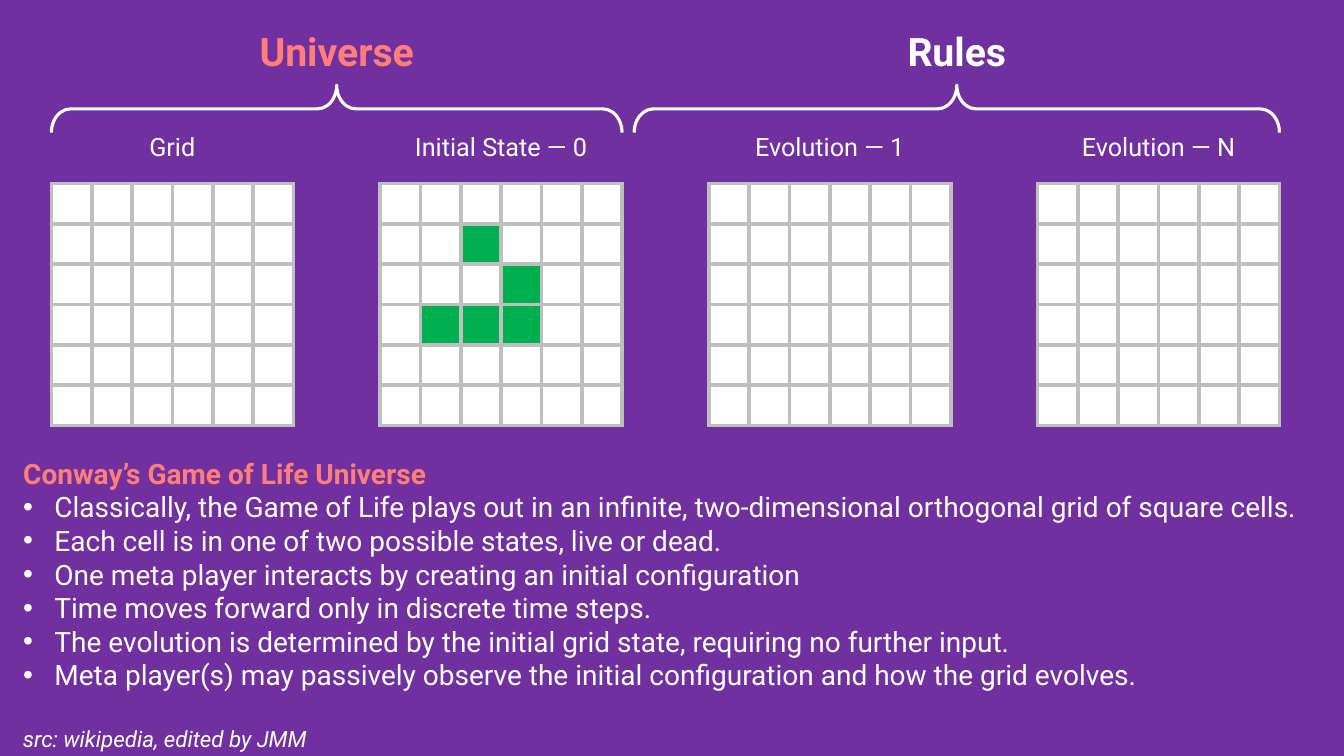
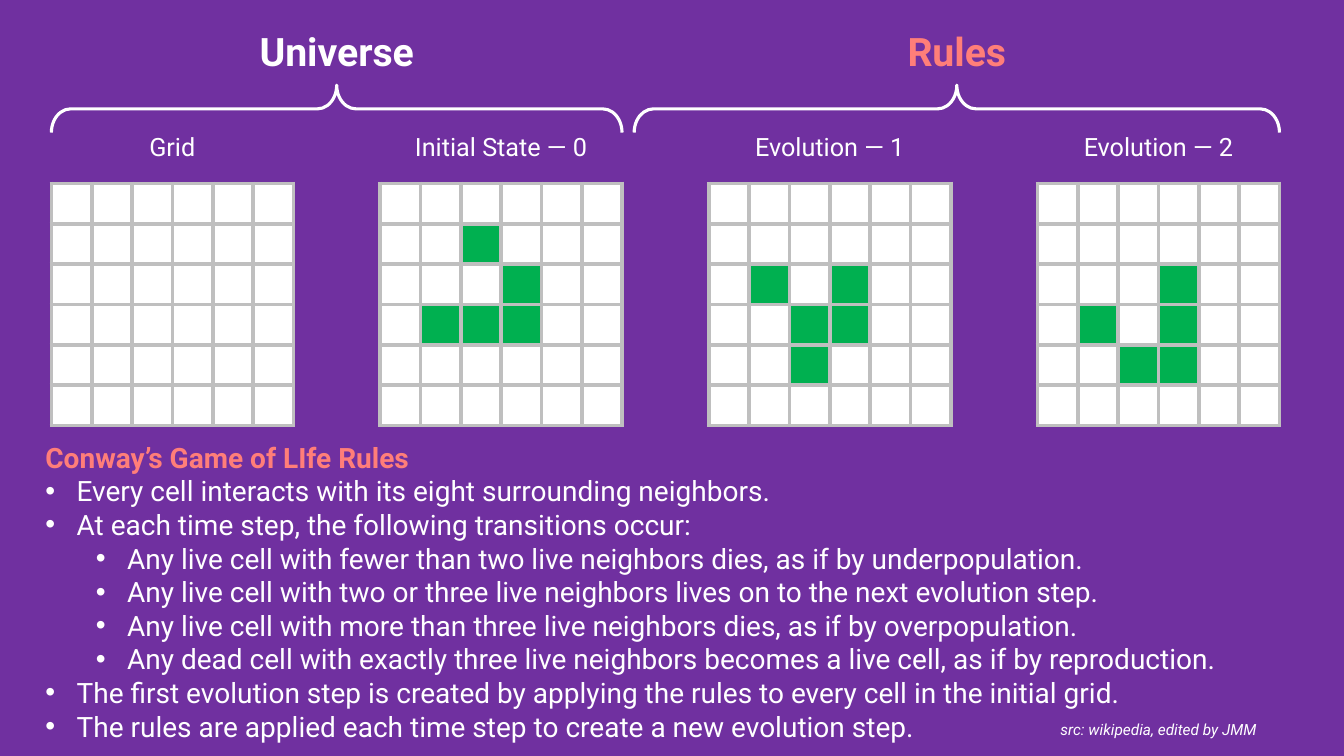
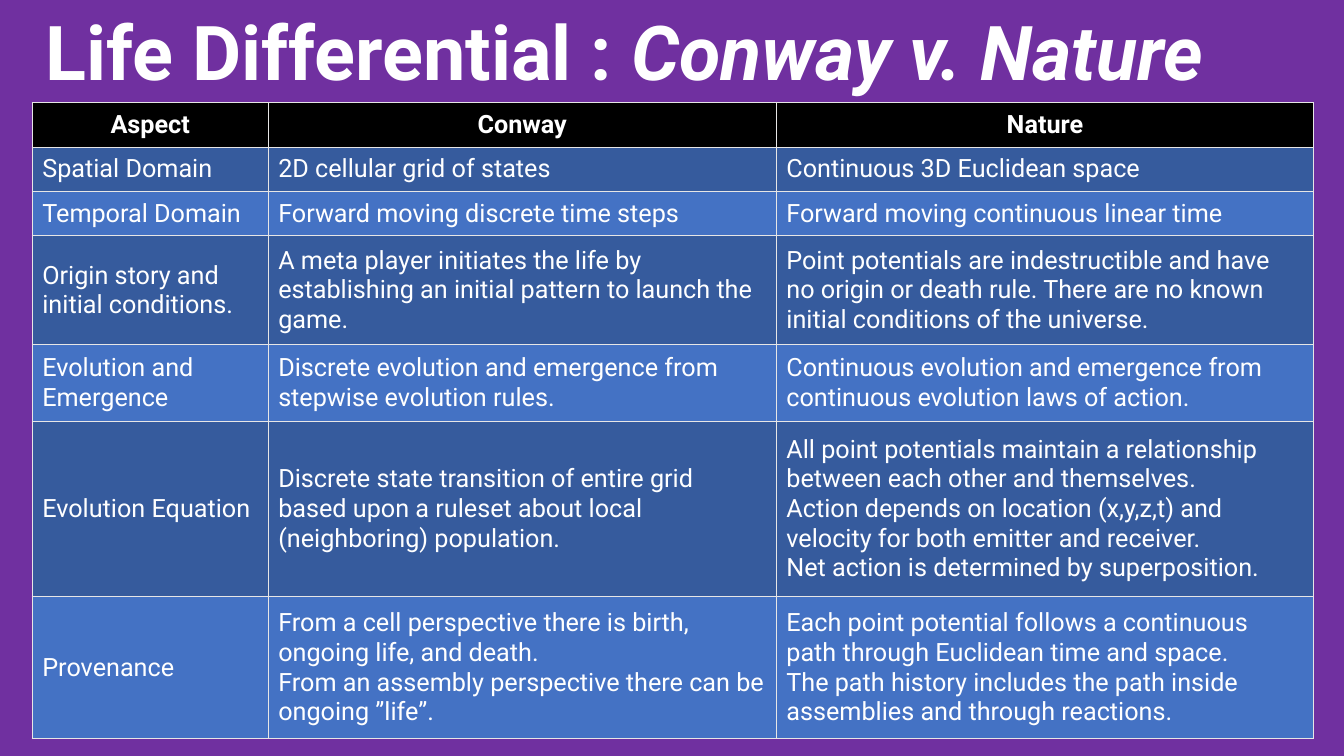
"""Build three slides on Conway's Game of Life and how it differs from nature."""
from collections import Counter
from dataclasses import dataclass
from itertools import product

from lxml.etree import SubElement
from pptx import Presentation
from pptx.dml.color import RGBColor
from pptx.enum.shapes import MSO_SHAPE as Shape
from pptx.enum.text import MSO_ANCHOR as Anchor, MSO_AUTO_SIZE as AutoSize, PP_ALIGN as Align
from pptx.oxml.ns import qn
from pptx.util import Inches, Pt

PURPLE = RGBColor(0x70, 0x30, 0xA0)
CORAL = RGBColor(0xFF, 0x7E, 0x79)
WHITE = RGBColor(0xFF, 0xFF, 0xFF)
BLACK = RGBColor(0, 0, 0)
GREEN = RGBColor(0, 0xB0, 0x50)
GRID_GREY = RGBColor(0xBF, 0xBF, 0xBF)
RULE_GREY = RGBColor(0xE7, 0xE6, 0xE6)
BANDS = (RGBColor(0x36, 0x5B, 0x9D), RGBColor(0x44, 0x72, 0xC4))
FONT = "Roboto"

GRID_LEFT, GRID_TOP, GRID_STEP = 0.51, 1.82, 3.26
CELL, CELLS = 0.4, 6
GRID_SIZE = CELL * CELLS
GLIDER = frozenset({(1, 2), (2, 3), (3, 1), (3, 2), (3, 3)})
SOURCE = "src: wikipedia, edited by JMM"


@dataclass(frozen=True)
class Section:
    label: str
    left: float
    right: float


@dataclass(frozen=True)
class Bullet:
    text: str
    level: int = 0


@dataclass(frozen=True)
class SourceNote:
    left: float
    top: float
    width: float
    size: int


@dataclass(frozen=True)
class LifeSlide:
    active: str
    captions: tuple[str, ...]
    states: tuple[frozenset, ...]
    heading: str
    left: float
    top: float
    bullets: tuple[Bullet, ...]
    source: SourceNote


SECTIONS = (Section("Universe", 0.51, 6.17), Section("Rules", 6.29, 12.69))


def evolve(live: frozenset) -> frozenset:
    """Return the live cells after one step of the rules."""
    neighbors = Counter(
        (row + dr, col + dc)
        for row, col in live
        for dr, dc in product((-1, 0, 1), repeat=2)
        if (dr, dc) != (0, 0)
    )
    return frozenset(c for c, n in neighbors.items() if n == 3 or (n == 2 and c in live))


FIRST_STEP = evolve(GLIDER)
EMPTY = frozenset()

LIFE_SLIDES = (
    LifeSlide(
        "Universe",
        ("Grid", "Initial State — 0", "Evolution — 1", "Evolution — N"),
        (EMPTY, GLIDER, EMPTY, EMPTY),
        "Conway’s Game of Life Universe", 0.13, 4.48,
        (
            Bullet("Classically, the Game of Life plays out in an infinite, "
                   "two-dimensional orthogonal grid of square cells."),
            Bullet("Each cell is in one of two possible states, live or dead."),
            Bullet("One meta player interacts by creating an initial configuration"),
            Bullet("Time moves forward only in discrete time steps."),
            Bullet("The evolution is determined by the initial grid state, "
                   "requiring no further input."),
            Bullet("Meta player(s) may passively observe the initial configuration "
                   "and how the grid evolves."),
        ),
        SourceNote(0.13, 7.14, 4, 16),
    ),
    LifeSlide(
        "Rules",
        ("Grid", "Initial State — 0", "Evolution — 1", "Evolution — 2"),
        (EMPTY, GLIDER, FIRST_STEP, evolve(FIRST_STEP)),
        "Conway’s Game of LIfe Rules", 0.35, 4.32,
        (
            Bullet("Every cell interacts with its eight surrounding neighbors."),
            Bullet("At each time step, the following transitions occur:"),
            Bullet("Any live cell with fewer than two live neighbors dies, "
                   "as if by underpopulation.", 1),
            Bullet("Any live cell with two or three live neighbors lives on "
                   "to the next evolution step.", 1),
            Bullet("Any live cell with more than three live neighbors dies, "
                   "as if by overpopulation.", 1),
            Bullet("Any dead cell with exactly three live neighbors becomes a live cell, "
                   "as if by reproduction.", 1),
            Bullet("The first evolution step is created by applying the rules "
                   "to every cell in the initial grid."),
            Bullet("The rules are applied each time step to create a new evolution step."),
        ),
        SourceNote(10.42, 7.1, 2.8, 11),
    ),
)

COLUMN_WIDTHS = (2.34, 5.04, 5.33)
ROW_HEIGHTS = (0.44, 0.44, 0.44, 1.08, 0.76, 1.74, 1.41)
COMPARISON = (
    ("Aspect", "Conway", "Nature"),
    ("Spatial Domain", "2D cellular grid of states", "Continuous 3D Euclidean space"),
    ("Temporal Domain", "Forward moving discrete time steps",
     "Forward moving continuous linear time"),
    ("Origin story and initial conditions.",
     "A meta player initiates the life by establishing an initial pattern to launch the game.",
     "Point potentials are indestructible and have no origin or death rule. "
     "There are no known initial conditions of the universe."),
    ("Evolution and Emergence",
     "Discrete evolution and emergence from stepwise evolution rules.",
     "Continuous evolution and emergence from continuous evolution laws of action."),
    ("Evolution Equation",
     "Discrete state transition of entire grid based upon a ruleset about local "
     "(neighboring) population.",
     "All point potentials maintain a relationship between each other and themselves.\n"
     "Action depends on location (x,y,z,t) and velocity for both emitter and receiver.\n"
     "Net action is determined by superposition."),
    ("Provenance",
     "From a cell perspective there is birth, ongoing life, and death.\n"
     "From an assembly perspective there can be ongoing ”life”.",
     "Each point potential follows a continuous path through Euclidean time and space.\n"
     "The path history includes the path inside assemblies and through reactions."),
)


def style_text(frame, size: int, color: RGBColor = WHITE, bold: bool = False,
               italic: bool = False, align: Align = Align.LEFT) -> None:
    """Format every paragraph and run of a text frame."""
    for paragraph in frame.paragraphs:
        paragraph.alignment = align
        paragraph.space_before = Pt(0)
        for run in paragraph.runs:
            font = run.font
            font.name, font.size, font.bold, font.italic = FONT, Pt(size), bold, italic
            font.color.rgb = color


def place(shape, left: float, top: float, width: float, height: float,
          anchor: Anchor = Anchor.TOP) -> None:
    """Move a text shape and fix how its frame behaves."""
    shape.left, shape.top = Inches(left), Inches(top)
    shape.width, shape.height = Inches(width), Inches(height)
    frame = shape.text_frame
    frame.word_wrap, frame.auto_size = True, AutoSize.NONE
    frame.vertical_anchor = anchor


def add_label(slide, text: str, left: float, top: float, width: float, height: float,
              size: int, **style) -> None:
    """Add a text box with one styled line."""
    label = slide.shapes.add_textbox(0, 0, 0, 0)
    place(label, left, top, width, height)
    label.text_frame.text = text
    style_text(label.text_frame, size, **style)


def add_section(slide, section: Section, color: RGBColor) -> None:
    """Draw a section label above the brace that spans its grids."""
    center, span = (section.left + section.right) / 2, section.right - section.left
    depth, middle = 0.47, 1.08
    brace = slide.shapes.add_shape(
        Shape.RIGHT_BRACE, Inches(center - depth / 2), Inches(middle - span / 2),
        Inches(depth), Inches(span))
    brace.rotation = 270
    brace.adjustments[0], brace.adjustments[1] = 0.405, 0.5
    brace.shadow.inherit = False
    brace.fill.background()
    brace.line.color.rgb, brace.line.width = WHITE, Pt(2.25)
    add_label(slide, section.label, center - 1, 0.22, 2, 0.57, 28,
              color=color, bold=True, align=Align.CENTER)


def paint_cell(cell, fill: RGBColor, border: RGBColor, width: float) -> None:
    """Give a table cell its four borders and its fill."""
    properties = cell._tc.get_or_add_tcPr()
    for side in ("lnL", "lnR", "lnT", "lnB"):
        line = SubElement(properties, qn(f"a:{side}"), w=str(Pt(width)))
        solid = SubElement(line, qn("a:solidFill"))
        SubElement(solid, qn("a:srgbClr"), val=str(border))
    cell.fill.solid()
    cell.fill.fore_color.rgb = fill


def add_plain_table(slide, left: float, top: float, widths: tuple[float, ...],
                    heights: tuple[float, ...]):
    """Add an unbanded table with the given columns and rows."""
    table = slide.shapes.add_table(
        len(heights), len(widths), Inches(left), Inches(top),
        Inches(sum(widths)), Inches(sum(heights))).table
    table.first_row = table.horz_banding = False
    for column, width in zip(table.columns, widths):
        column.width = Inches(width)
    for row, height in zip(table.rows, heights):
        row.height = Inches(height)
    return table


def add_grid(slide, left: float, caption: str, live: frozenset) -> None:
    """Draw a captioned universe with its live cells."""
    add_label(slide, caption, left, 1.25, GRID_SIZE, 0.4, 18, align=Align.CENTER)
    sides = (CELL,) * CELLS
    grid = add_plain_table(slide, left, GRID_TOP, sides, sides)
    for row, col in product(range(CELLS), repeat=2):
        cell = grid.cell(row, col)
        cell.margin_top = cell.margin_bottom = 0
        paint_cell(cell, GREEN if (row, col) in live else WHITE, GRID_GREY, 3)


def fill_bullets(frame, bullets: tuple[Bullet, ...]) -> None:
    """Write a bulleted list with hanging indents."""
    frame.text = "\n".join(bullet.text for bullet in bullets)
    style_text(frame, 20)
    for paragraph, bullet in zip(frame.paragraphs, bullets):
        paragraph.level = bullet.level
        properties = paragraph._p.get_or_add_pPr()
        properties.set("marL", str(Inches(0.31 + 0.5 * bullet.level)))
        properties.set("indent", str(Inches(-0.31)))
        SubElement(properties, qn("a:buFont"), typeface="Arial")
        SubElement(properties, qn("a:buChar"), char="•")


def add_life_slide(deck, content: LifeSlide) -> None:
    """Add a slide with sections, four grids and an explanation."""
    slide = deck.slides.add_slide(deck.slide_layouts[1])
    heading, explanation = slide.shapes.title, slide.placeholders[1]
    width = 13.33 - content.left
    place(heading, content.left, content.top, width, 0.43)
    heading.text_frame.text = content.heading
    style_text(heading.text_frame, 20, CORAL, bold=True)
    place(explanation, content.left, content.top + 0.33, width,
          0.1 + 0.34 * len(content.bullets))
    fill_bullets(explanation.text_frame, content.bullets)
    for section in SECTIONS:
        add_section(slide, section, CORAL if section.label == content.active else WHITE)
    for index, (caption, live) in enumerate(zip(content.captions, content.states)):
        add_grid(slide, GRID_LEFT + GRID_STEP * index, caption, live)
    source = content.source
    add_label(slide, SOURCE, source.left, source.top, source.width, 0.36, source.size,
              italic=True)


def add_comparison_slide(deck) -> None:
    """Add the table that compares Conway with nature."""
    slide = deck.slides.add_slide(deck.slide_layouts[5])
    title = slide.shapes.title
    place(title, 0.35, 0.12, 12.68, 0.88, Anchor.MIDDLE)
    title.text_frame.text = "Life Differential : "
    paragraph = title.text_frame.paragraphs[0]
    paragraph.line_spacing = 0.9
    contrast = paragraph.add_run()
    contrast.text = "Conway v. Nature"
    style_text(title.text_frame, 54, bold=True)
    contrast.font.italic = True

    table = add_plain_table(slide, 0.32, 1.02, COLUMN_WIDTHS, ROW_HEIGHTS)
    table.first_row = True
    for row, texts in enumerate(COMPARISON):
        header = row == 0
        for col, text in enumerate(texts):
            cell = table.cell(row, col)
            cell.text_frame.text = text
            cell.vertical_anchor = Anchor.MIDDLE
            style_text(cell.text_frame, 18, bold=header,
                       align=Align.CENTER if header else Align.LEFT)
            paint_cell(cell, BLACK if header else BANDS[(row - 1) % 2], RULE_GREY, 1)


def main() -> None:
    """Build and save the presentation."""
    deck = Presentation()
    deck.slide_width, deck.slide_height = Inches(13.33), Inches(7.5)
    background = deck.slide_master.background.fill
    background.solid()
    background.fore_color.rgb = PURPLE
    for content in LIFE_SLIDES:
        add_life_slide(deck, content)
    add_comparison_slide(deck)
    deck.save("out.pptx")


if __name__ == "__main__":
    main()
